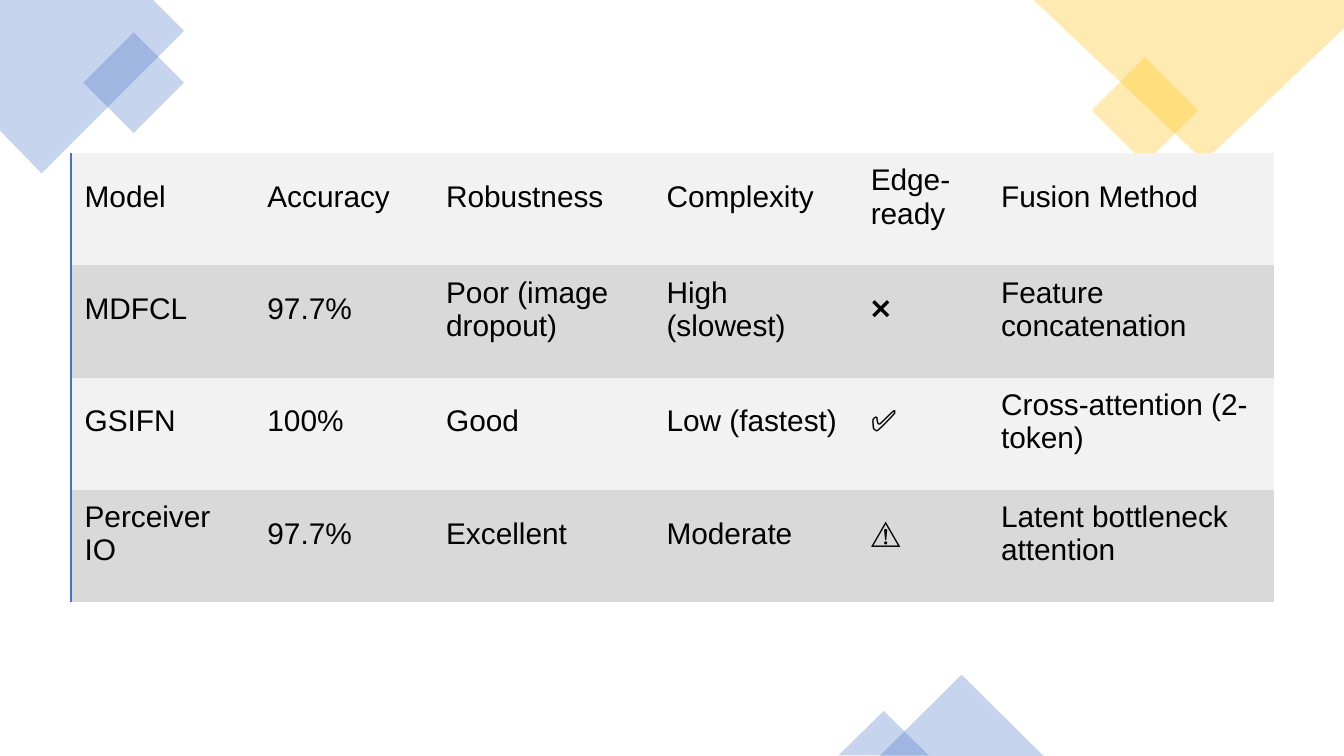
from dataclasses import dataclass
from math import cos, radians, sin

from lxml.etree import SubElement
from pptx import Presentation
from pptx.dml.color import RGBColor
from pptx.enum.shapes import MSO_SHAPE
from pptx.enum.text import MSO_ANCHOR
from pptx.oxml import parse_xml
from pptx.oxml.ns import nsdecls, qn
from pptx.util import Inches, Pt


@dataclass(frozen=True)
class Theme:
    blue: str = "4472C4"
    yellow: str = "FFC000"
    text: str = "000000"
    light_row: str = "F2F2F2"
    dark_row: str = "D9D9D9"
    font: str = "Arial"
    text_size: int = 16
    border_width: int = 1
    opacity: int = 30
    plain_table: str = "{2D5ABB26-0587-4C30-8999-92F81FD0307C}"


THEME = Theme()

SLIDE_FORMAT = {"slide_width": Inches(10), "slide_height": Inches(10) * 9 // 16}
CELL_FORMAT = {
    "margin_left": Inches(0.1),
    "margin_top": Inches(0.03),
    "margin_right": Inches(0.14),
    "margin_bottom": Inches(0.21),
    "vertical_anchor": MSO_ANCHOR.MIDDLE,
}
FONT_FORMAT = {"name": THEME.font, "size": Pt(THEME.text_size), "bold": False}

COLUMN_WIDTHS = [1.36, 1.33, 1.64, 1.52, 0.97, 2.13]
COMPARISON = [
    ["Model", "Accuracy", "Robustness", "Complexity", "Edge-ready", "Fusion Method"],
    ["MDFCL", "97.7%", "Poor (image dropout)", "High (slowest)", "❌", "Feature concatenation"],
    ["GSIFN", "100%", "Good", "Low (fastest)", "✅", "Cross-attention (2-token)"],
    ["Perceiver IO", "97.7%", "Excellent", "Moderate", "⚠️", "Latent bottleneck attention"],
]


def apply_format(target, values):
    for name, value in values.items():
        setattr(target, name, value)


def paint_translucent(ornament, color, rotation):
    ornament.shadow.inherit = False
    ornament.rotation = rotation
    ornament.line.fill.background()
    ornament.fill.solid()
    ornament.fill.fore_color.rgb = RGBColor.from_string(color)
    tint = ornament._element.spPr.find(qn("a:solidFill"))[0]
    SubElement(tint, qn("a:alpha")).set("val", str(THEME.opacity * 1000))


def add_ornament(slide, kind, frame, color, rotation=0):
    ornament = slide.shapes.add_shape(kind, *map(Inches, frame))
    paint_translucent(ornament, color, rotation)


def add_corner(slide, outline, center, color, rotation):
    center_x, center_y = center
    turn = radians(-rotation)
    corners = [
        (
            Inches(center_x + (x - center_x) * cos(turn) - (y - center_y) * sin(turn)),
            Inches(center_y + (x - center_x) * sin(turn) + (y - center_y) * cos(turn)),
        )
        for x, y in outline
    ]
    builder = slide.shapes.build_freeform(*corners[0], scale=1.0)
    builder.add_line_segments(corners[1:], close=True)
    paint_translucent(builder.convert_to_shape(), color, rotation)


def add_left_border(cell):
    border = parse_xml(
        f'<a:lnL {nsdecls("a")} w="{Pt(THEME.border_width)}"><a:solidFill>'
        f'<a:srgbClr val="{THEME.blue}"/></a:solidFill></a:lnL>'
    )
    cell._tc.get_or_add_tcPr().insert(0, border)


def fill_cell(cell, wording, color):
    apply_format(cell, CELL_FORMAT)
    cell.fill.solid()
    cell.fill.fore_color.rgb = RGBColor.from_string(color)
    run = cell.text_frame.paragraphs[0].add_run()
    run.text = wording
    apply_format(run.font, FONT_FORMAT)
    run.font.color.rgb = RGBColor.from_string(THEME.text)


def add_comparison(slide, left, top, height):
    frame = map(Inches, (left, top, sum(COLUMN_WIDTHS), height))
    comparison = slide.shapes.add_table(len(COMPARISON), len(COLUMN_WIDTHS), *frame).table
    apply_format(comparison, {"first_row": False, "horz_banding": False})
    comparison._tbl.tblPr.find(qn("a:tableStyleId")).text = THEME.plain_table
    for column, width in zip(comparison.columns, COLUMN_WIDTHS):
        column.width = Inches(width)
    for row_index, wordings in enumerate(COMPARISON):
        color = THEME.dark_row if row_index % 2 else THEME.light_row
        for column_index, wording in enumerate(wordings):
            fill_cell(comparison.cell(row_index, column_index), wording, color)
        add_left_border(comparison.cell(row_index, 0))


def main():
    presentation = Presentation()
    apply_format(presentation, SLIDE_FORMAT)
    slide = presentation.slides.add_slide(presentation.slide_layouts[6])

    blue_corner = [(1.14, 0), (0, 0), (0, 0.97), (0.31, 1.29), (1.37, 0.23)]
    yellow_corner = [(10, 0), (7.67, 0), (8.95, 1.21), (10, 0.21)]
    add_corner(slide, blue_corner, (0.44, 0.36), THEME.blue, 315)
    add_ornament(slide, MSO_SHAPE.RECTANGLE, (0.73, 0.35, 0.53, 0.53), THEME.blue, 315)
    add_ornament(slide, MSO_SHAPE.RECTANGLE, (8.24, 0.54, 0.56, 0.56), THEME.yellow, 315)
    add_corner(slide, yellow_corner, (8.84, 0.6), THEME.yellow, 180)
    for peak in [(6.54, 5.02, 1.23, 0.61), (6.24, 5.29, 0.67, 0.33)]:
        add_ornament(slide, MSO_SHAPE.ISOSCELES_TRIANGLE, peak, THEME.blue)

    add_comparison(slide, 0.53, 1.14, 3.34)
    presentation.save("out.pptx")


if __name__ == "__main__":
    main()
